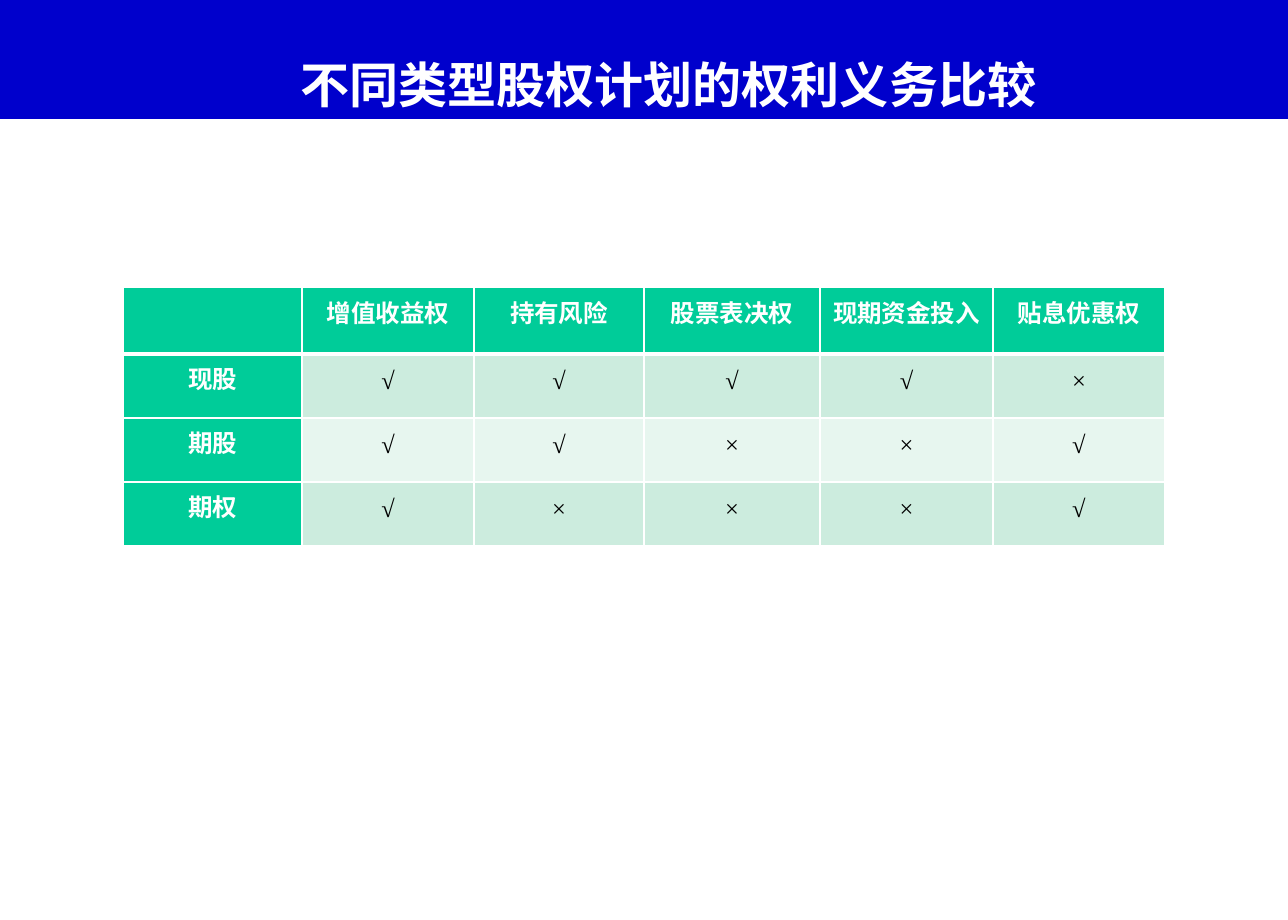
from dataclasses import dataclass

from lxml import etree
from pptx import Presentation
from pptx.dml.color import RGBColor
from pptx.enum.shapes import MSO_SHAPE
from pptx.enum.text import MSO_ANCHOR, PP_ALIGN
from pptx.oxml.ns import qn
from pptx.util import Pt

RECT = MSO_SHAPE.RECTANGLE
CENTER = PP_ALIGN.CENTER
MIDDLE = MSO_ANCHOR.MIDDLE
BOTTOM = MSO_ANCHOR.BOTTOM

TITLE = "　不同类型股权计划的权利义务比较"
ROWS = [
    ["", "增值收益权", "持有风险", "股票表决权", "现期资金投入", "贴息优惠权"],
    ["现股", "√", "√", "√", "√", "×"],
    ["期股", "√", "√", "×", "×", "√"],
    ["期权", "√", "×", "×", "×", "√"],
]

SLIDE_W, SLIDE_H = 1288, 920
BANNER_H = 119
TABLE_X, TABLE_Y = 123, 287
COL_W = [179, 172, 170, 176, 173, 172]
ROW_H = [67, 64, 64, 64]


@dataclass(frozen=True)
class Theme:
    banner: str = "0000CC"
    header: str = "00CC99"
    bands: tuple = ("CCECDE", "E7F6EF")
    light: str = "FFFFFF"
    dark: str = "000000"
    title_size: int = 32
    cell_size: int = 16
    latin: str = "Times New Roman"
    cjk: str = "Noto Sans CJK SC"


THEME = Theme()


def px(n):
    return round(n * 914400 / 110.4)


def paint(target, color):
    target.fill.solid()
    target.fill.fore_color.rgb = RGBColor.from_string(color)


def write(tf, text, *, size, color, font, bold=True, spacing=None):
    p = tf.paragraphs[0]
    p.alignment = CENTER
    p.line_spacing = spacing
    r = p.add_run()
    r.text = text
    r.font.size = Pt(size)
    r.font.bold = bold
    r.font.name = font
    r.font.color.rgb = RGBColor.from_string(color)
    ea = etree.SubElement(r.font._element, qn("a:ea"))
    ea.set("typeface", THEME.cjk)


def set_borders(cell, is_header, below_header):
    tcPr = cell._tc.get_or_add_tcPr()
    widths = {
        "a:lnL": 1,
        "a:lnR": 1,
        "a:lnT": 3 if below_header else 1,
        "a:lnB": 3 if is_header else 1,
    }
    for i, (tag, width) in enumerate(widths.items()):
        ln = etree.Element(qn(tag), w=str(Pt(width)))
        fill = etree.SubElement(ln, qn("a:solidFill"))
        etree.SubElement(fill, qn("a:srgbClr"), val=THEME.light)
        tcPr.insert(i, ln)


def add_banner(slide):
    sp = slide.shapes.add_shape(RECT, 0, 0, px(SLIDE_W), px(BANNER_H))
    sp.shadow.inherit = False
    paint(sp, THEME.banner)
    sp.line.fill.background()
    tf = sp.text_frame
    tf.word_wrap = True
    tf.vertical_anchor = BOTTOM
    tf.margin_left = tf.margin_right = px(12)
    tf.margin_top = tf.margin_bottom = px(6)
    write(tf, TITLE, size=THEME.title_size, color=THEME.light,
          font=THEME.cjk, spacing=4.1)


def add_rights_table(slide):
    frame = slide.shapes.add_table(
        len(ROWS), len(COL_W), px(TABLE_X), px(TABLE_Y),
        px(sum(COL_W)), px(sum(ROW_H)))
    table = frame.table
    for col, width in zip(table.columns, COL_W):
        col.width = px(width)
    for i, (row, height) in enumerate(zip(ROWS, ROW_H)):
        table.rows[i].height = px(height)
        for j, text in enumerate(row):
            cell = table.cell(i, j)
            label = i == 0 or j == 0
            paint(cell, THEME.header if label else THEME.bands[(i - 1) % 2])
            set_borders(cell, i == 0, i == 1)
            cell.vertical_anchor = MIDDLE
            cell.margin_left = cell.margin_right = 0
            cell.margin_top = cell.margin_bottom = 0
            if text:
                write(cell.text_frame, text, size=THEME.cell_size,
                      color=THEME.light if label else THEME.dark,
                      font=THEME.latin, bold=label, spacing=Pt(12))


def main():
    prs = Presentation()
    prs.slide_width, prs.slide_height = px(SLIDE_W), px(SLIDE_H)
    slide = prs.slides.add_slide(prs.slide_layouts[6])
    add_banner(slide)
    add_rights_table(slide)
    prs.save("out.pptx")


if __name__ == "__main__":
    main()
